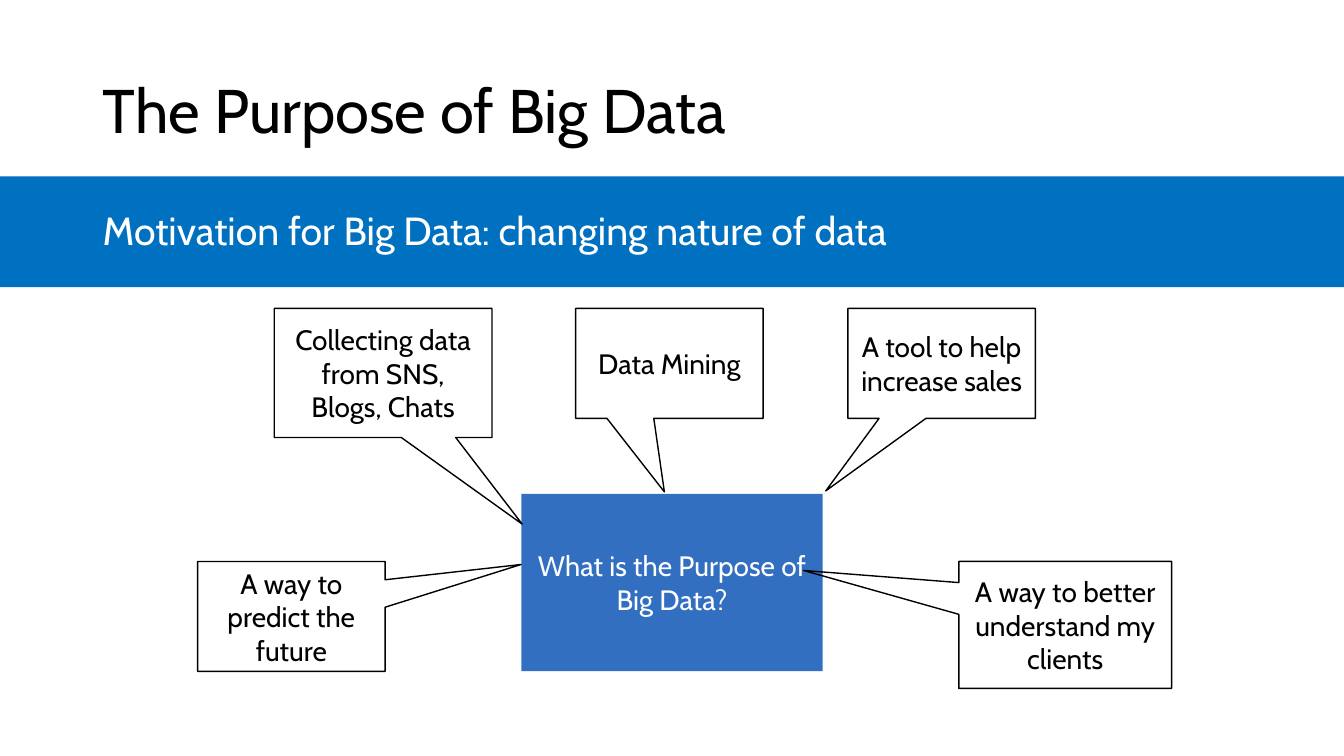
from pptx import Presentation
from pptx import util as u
from pptx.dml import color
from pptx.enum import shapes, text

FONT = "Cabin"
BLACK, WHITE = "000000", "FFFFFF"
BAND_BLUE, BOX_BLUE = "0070C0", "336FC0"

QUESTION_BOX = (5.17, 4.9, 2.99, 1.76)
CALLOUTS = [
    ("A way to predict the future", (1.96, 5.57, 1.86, 1.09), (5.17, 5.6)),
    ("A way to better understand my clients", (9.51, 5.57, 2.11, 1.26), (7.97, 5.66)),
    ("Data Mining", (5.71, 3.06, 1.86, 1.09), (6.59, 4.88)),
    ("Collecting data from SNS, Blogs, Chats", (2.72, 3.06, 2.16, 1.28), (5.18, 5.2)),
    ("A tool to help increase sales", (8.41, 3.06, 1.86, 1.09), (8.19, 4.87)),
]


def rgb(value):
    return color.RGBColor.from_string(value)


def inches(box):
    return [u.Inches(length) for length in box]


def write(shape, words, size, hue, alignment=text.PP_ALIGN.LEFT, spacing=None):
    frame = shape.text_frame
    frame.word_wrap = True
    frame.auto_size = text.MSO_AUTO_SIZE.NONE
    frame.vertical_anchor = text.MSO_ANCHOR.MIDDLE
    paragraph = frame.paragraphs[0]
    paragraph.text = words
    paragraph.alignment = alignment
    paragraph.line_spacing = spacing
    paragraph.font.name = FONT
    paragraph.font.size = u.Pt(size)
    paragraph.font.color.rgb = rgb(hue)


def add_block(slide, kind, box, fill=None, line=None):
    shape = slide.shapes.add_shape(kind, *inches(box))
    shape.shadow.inherit = False
    if fill:
        shape.fill.solid()
        shape.fill.fore_color.rgb = rgb(fill)
    else:
        shape.fill.background()
    if line:
        shape.line.color.rgb = rgb(line)
        shape.line.width = u.Pt(1)
    else:
        shape.line.fill.background()
    return shape


def add_title(slide, words, box):
    title = slide.shapes.title
    title.left, title.top, title.width, title.height = inches(box)
    write(title, words, 44, BLACK, spacing=0.9)


def add_band(slide, words, box):
    left, top, width, height = box
    add_block(slide, shapes.MSO_SHAPE.RECTANGLE, box, fill=BAND_BLUE)
    label = slide.shapes.add_textbox(
        *inches((left + 0.92, top + 0.1, width - 3.02, height - 0.19)))
    write(label, words, 28, WHITE, spacing=0.9)


def add_question(slide, words, box):
    question = add_block(slide, shapes.MSO_SHAPE.RECTANGLE, box, fill=BOX_BLUE)
    write(question, words, 20, WHITE, text.PP_ALIGN.CENTER)


def add_callout(slide, words, box, tip):
    left, top, width, height = box
    callout = add_block(
        slide, shapes.MSO_SHAPE.RECTANGULAR_CALLOUT, box, line=BLACK)
    callout.adjustments[0] = (tip[0] - left) / width - 0.5
    callout.adjustments[1] = (tip[1] - top) / height - 0.5
    write(callout, words, 20, BLACK, text.PP_ALIGN.CENTER)


def main():
    presentation = Presentation()
    presentation.slide_width = u.Inches(13.33)
    presentation.slide_height = u.Inches(7.5)
    slide = presentation.slides.add_slide(presentation.slide_layouts[5])
    add_title(slide, "The Purpose of Big Data", (0.92, 0.4, 11.5, 1.45))
    add_question(slide, "What is the Purpose of Big Data?", QUESTION_BOX)
    for words, box, tip in CALLOUTS:
        add_callout(slide, words, box, tip)
    add_band(slide, "Motivation for Big Data: changing nature of data",
             (0, 1.75, 13.33, 1.1))
    presentation.save("out.pptx")


if __name__ == "__main__":
    main()
